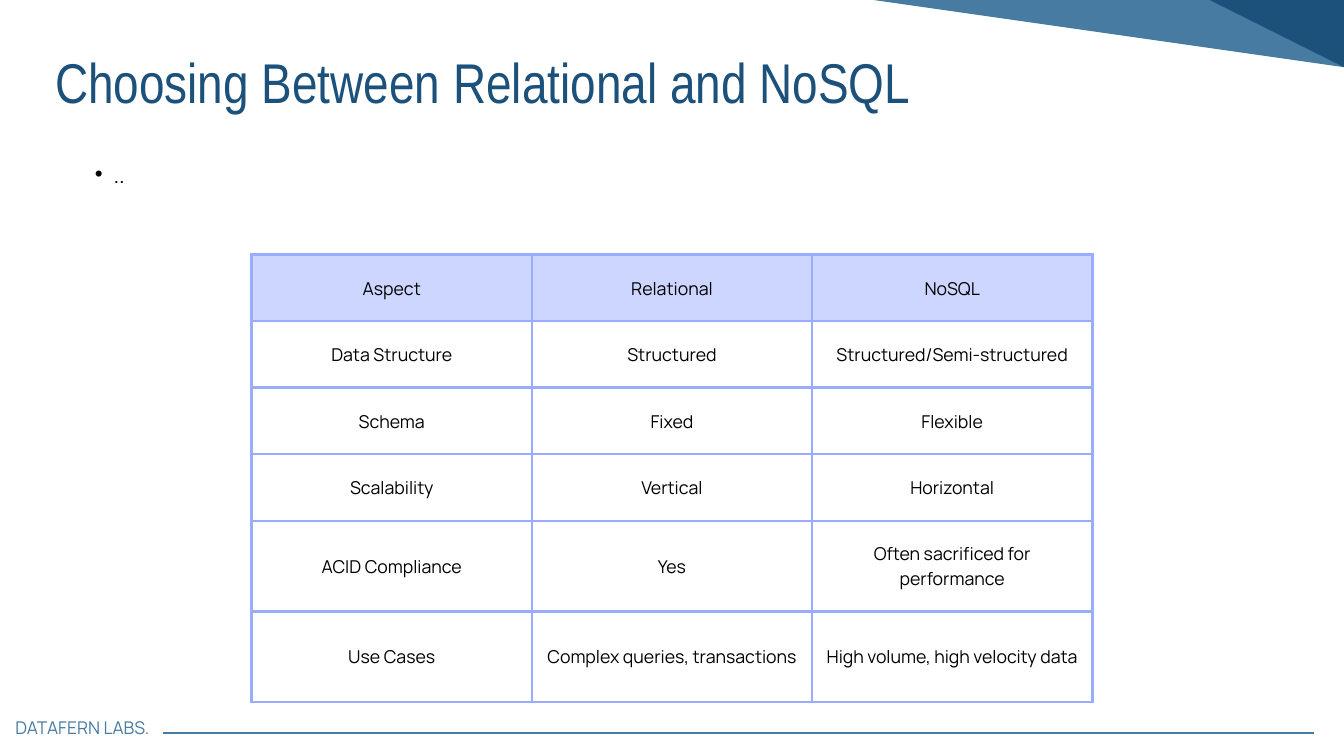
from lxml.etree import SubElement
from pptx import Presentation
from pptx.dml.color import RGBColor
from pptx.enum.shapes import MSO_CONNECTOR
from pptx.enum.text import MSO_ANCHOR, MSO_AUTO_SIZE, PP_ALIGN
from pptx.oxml.ns import qn
from pptx.util import Inches, Pt

TITLE = "Choosing Between Relational and NoSQL"
BULLET = ".."
FOOTER = "DATAFERN LABS."
TABLE = [
    ("Aspect", "Relational", "NoSQL"),
    ("Data Structure", "Structured", "Structured/Semi-structured"),
    ("Schema", "Fixed", "Flexible"),
    ("Scalability", "Vertical", "Horizontal"),
    ("ACID Compliance", "Yes", "Often sacrificed for performance"),
    ("Use Cases", "Complex queries, transactions", "High volume, high velocity data"),
]
NAVY = RGBColor(0x1B, 0x51, 0x7B)
STEEL = RGBColor(0x48, 0x7B, 0xA2)
BLACK = RGBColor(0, 0, 0)
LAVENDER = RGBColor(0xCD, 0xD6, 0xFF)
PERIWINKLE = RGBColor(0x99, 0xAC, 0xFF)
CORNER_BANDS = [
    (STEEL, [(20.14, 0.13), (20.08, 0.72), (13.49, -0.02), (13.56, -0.61)]),
    (NAVY, [(18.21, -0.05), (18.63, -0.83), (20.48, 0.16), (20.06, 0.94)]),
]

GRID_COLUMNS, GRID_ROWS = 20, 11.25
UNIT = Inches(1)
COLUMN_WIDTH = 4.17
ROW_HEIGHTS = [0.99] * 4 + [1.35] * 2
TABLE_TOP = 3.79
CELL_MARGIN = 0.21


def grid(*lengths):
    return [round(length * UNIT) for length in lengths]


def write(frame, text, size, leading, font="Manrope", color=BLACK,
          align=PP_ALIGN.LEFT, level=0, bullet=None):
    para = frame.paragraphs[0]
    para.level = level
    if bullet:
        properties = para._p.get_or_add_pPr()
        indent, hanging = grid(0.57, -0.28)
        properties.set("marL", str(indent))
        properties.set("indent", str(hanging))
        SubElement(properties, qn("a:buFont"), typeface="Arial")
        SubElement(properties, qn("a:buChar"), char=bullet)
    para.alignment = align
    para.line_spacing = Pt(leading)
    para.space_before = para.space_after = Pt(0)
    span = para.add_run()
    span.text = text
    span.font.size = Pt(size)
    span.font.name = font
    span.font.color.rgb = color


def place(box, left, top, width, height):
    box.left, box.top, box.width, box.height = grid(left, top, width, height)
    frame = box.text_frame
    frame.word_wrap = True
    frame.auto_size = MSO_AUTO_SIZE.NONE
    frame.vertical_anchor = MSO_ANCHOR.TOP
    frame.margin_left = frame.margin_right = frame.margin_top = frame.margin_bottom = 0
    return frame


def add_borders(cell):
    properties = cell._tc.get_or_add_tcPr()
    for side in ("lnL", "lnR", "lnT", "lnB"):
        border = SubElement(properties, qn(f"a:{side}"), w=str(Pt(3)))
        fill = SubElement(border, qn("a:solidFill"))
        SubElement(fill, qn("a:srgbClr"), val=str(PERIWINKLE))


def add_corner_bands(page):
    for color, points in CORNER_BANDS:
        builder = page.shapes.build_freeform(*points[0], scale=UNIT)
        builder.add_line_segments(points[1:], close=True)
        band = builder.convert_to_shape()
        band.shadow.inherit = False
        band.fill.solid()
        band.fill.fore_color.rgb = color
        band.line.fill.background()


def add_footer(page):
    box = page.shapes.add_textbox(0, 0, 0, 0)
    write(place(box, 0.23, 10.67, 2.2, 0.33), FOOTER, 18.8, 22.6, color=STEEL)
    rule = page.shapes.add_connector(MSO_CONNECTOR.STRAIGHT, *grid(2.43, 10.91, 19.56, 10.91))
    rule.line.color.rgb = STEEL
    rule.line.width = Pt(1.5)
    SubElement(rule._element.spPr, qn("a:effectLst"))


def add_comparison(page):
    width = COLUMN_WIDTH * len(TABLE[0])
    left = (GRID_COLUMNS - width) / 2
    table = page.shapes.add_table(
        len(TABLE), len(TABLE[0]), *grid(left, TABLE_TOP, width, sum(ROW_HEIGHTS))).table
    table.first_row = table.horz_banding = False
    for column in table.columns:
        column.width = grid(COLUMN_WIDTH)[0]
    for row, height in zip(table.rows, ROW_HEIGHTS):
        row.height = grid(height)[0]
    margin = grid(CELL_MARGIN)[0]
    for index, texts in enumerate(TABLE):
        for cell, text in zip(table.rows[index].cells, texts):
            add_borders(cell)
            if index == 0:
                cell.fill.solid()
                cell.fill.fore_color.rgb = LAVENDER
            else:
                cell.fill.background()
            cell.vertical_anchor = MSO_ANCHOR.MIDDLE
            cell.margin_left = cell.margin_right = margin
            cell.margin_top = cell.margin_bottom = margin
            write(cell.text_frame, text, 19, 26.6, align=PP_ALIGN.CENTER)


def main():
    deck = Presentation()
    deck.slide_width, deck.slide_height = grid(GRID_COLUMNS, GRID_ROWS)
    page = deck.slides.add_slide(deck.slide_layouts[1])
    add_corner_bands(page)
    add_footer(page)
    add_comparison(page)
    title, body = page.shapes.title, page.placeholders[1]
    write(place(body, 1.12, 2.16, 12.25, 0.59), BULLET, 24, 45.6, level=1, bullet="•")
    write(place(title, 0.82, 0.71, 18.26, 1.02), TITLE, 60, 72, font="Arial Narrow", color=NAVY)
    deck.save("out.pptx")


if __name__ == "__main__":
    main()
